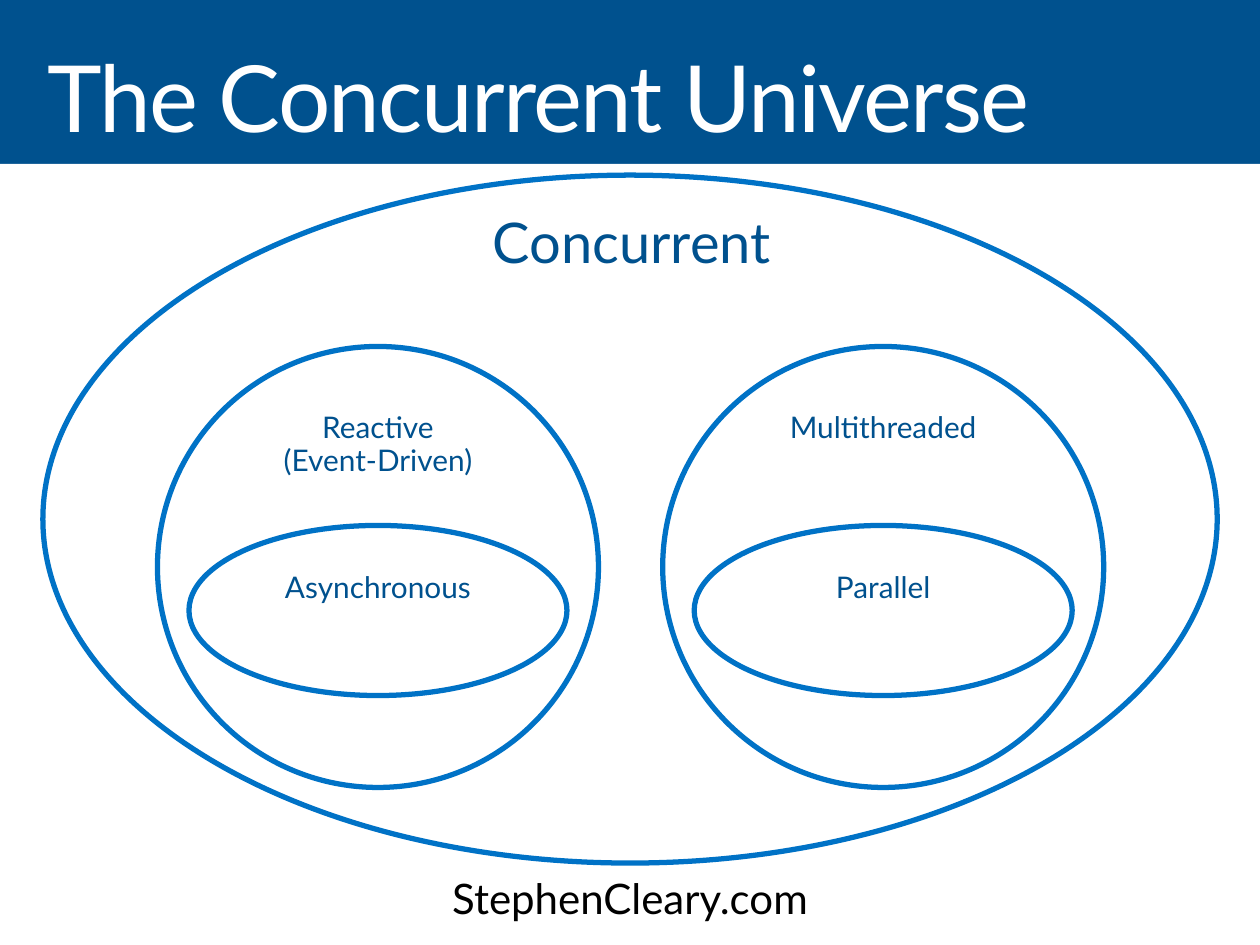
from pptx import Presentation
from pptx import util as u
from pptx.dml.color import RGBColor
from pptx.enum import shapes, text

NAVY = RGBColor(0x00, 0x51, 0x8E)
BLUE = RGBColor(0x00, 0x72, 0xC6)
WHITE = RGBColor(0xFF, 0xFF, 0xFF)
BLACK = RGBColor(0x00, 0x00, 0x00)

prs = Presentation()
prs.slide_width, prs.slide_height = u.Inches(10), u.Inches(7.5)
COL, ROW = prs.slide_width / 100, prs.slide_height / 75
s = prs.slides.add_slide(prs.slide_layouts[6])
s.background.fill.solid()
s.background.fill.fore_color.rgb = NAVY


def add_shape(kind, x, y, w, h, fill=None, line=None):
    sp = s.shapes.add_shape(kind, int(x * COL), int(y * ROW), int(w * COL), int(h * ROW))
    sp.shadow.inherit = False
    if fill is None:
        sp.fill.background()
    else:
        sp.fill.solid()
        sp.fill.fore_color.rgb = fill
    if line is None:
        sp.line.fill.background()
    else:
        sp.line.color.rgb = line
        sp.line.width = u.Pt(3)


def add_text(words, x, y, w, h, size, color, inset=(1, 0.2), align=text.PP_ALIGN.CENTER):
    tf = s.shapes.add_textbox(int(x * COL), int(y * ROW), int(w * COL), int(h * ROW)).text_frame
    tf.word_wrap = True
    tf.margin_left = tf.margin_right = int(inset[0] * COL)
    tf.margin_top = tf.margin_bottom = int(inset[1] * ROW)
    p = tf.paragraphs[0]
    p.text = words
    p.alignment = align
    p.line_spacing = 0.9
    p.font.name = "Lato"
    p.font.size = u.Pt(size)
    p.font.color.rgb = color
    return p


OVAL = shapes.MSO_SHAPE.OVAL
add_shape(shapes.MSO_SHAPE.RECTANGLE, 0, 13, 100, 62, fill=WHITE)
add_text("StephenCleary.com", 0, 68.1, 100, 6.9, 24, BLACK, (2, 1.6))
p = add_text("The Concurrent Universe", 2.2, 3.2, 95.6, 9.8, 52.9, WHITE, (1.6, 1), text.PP_ALIGN.LEFT)
p.runs[0].font._element.set("spc", "-100")

add_shape(OVAL, 3.4, 13.9, 93.2, 54.6, line=BLUE)
add_text("Concurrent", 37.8, 16.9, 24.7, 24.7, 32, NAVY)

groups = [
    (30, "Reactive\n(Event-Driven)", "Asynchronous"),
    (70.1, "Multithreaded", "Parallel"),
]
for center, outer, inner in groups:
    add_shape(OVAL, center - 17.5, 27.5, 35, 35, line=BLUE)
    add_text(outer, center - 12.35, 32.6, 24.7, 8, 17, NAVY)
    add_shape(OVAL, center - 15, 41.7, 30, 13.5, line=BLUE)
    add_text(inner, center - 10, 45.3, 20, 6.7, 17, NAVY)

prs.save("out.pptx")
